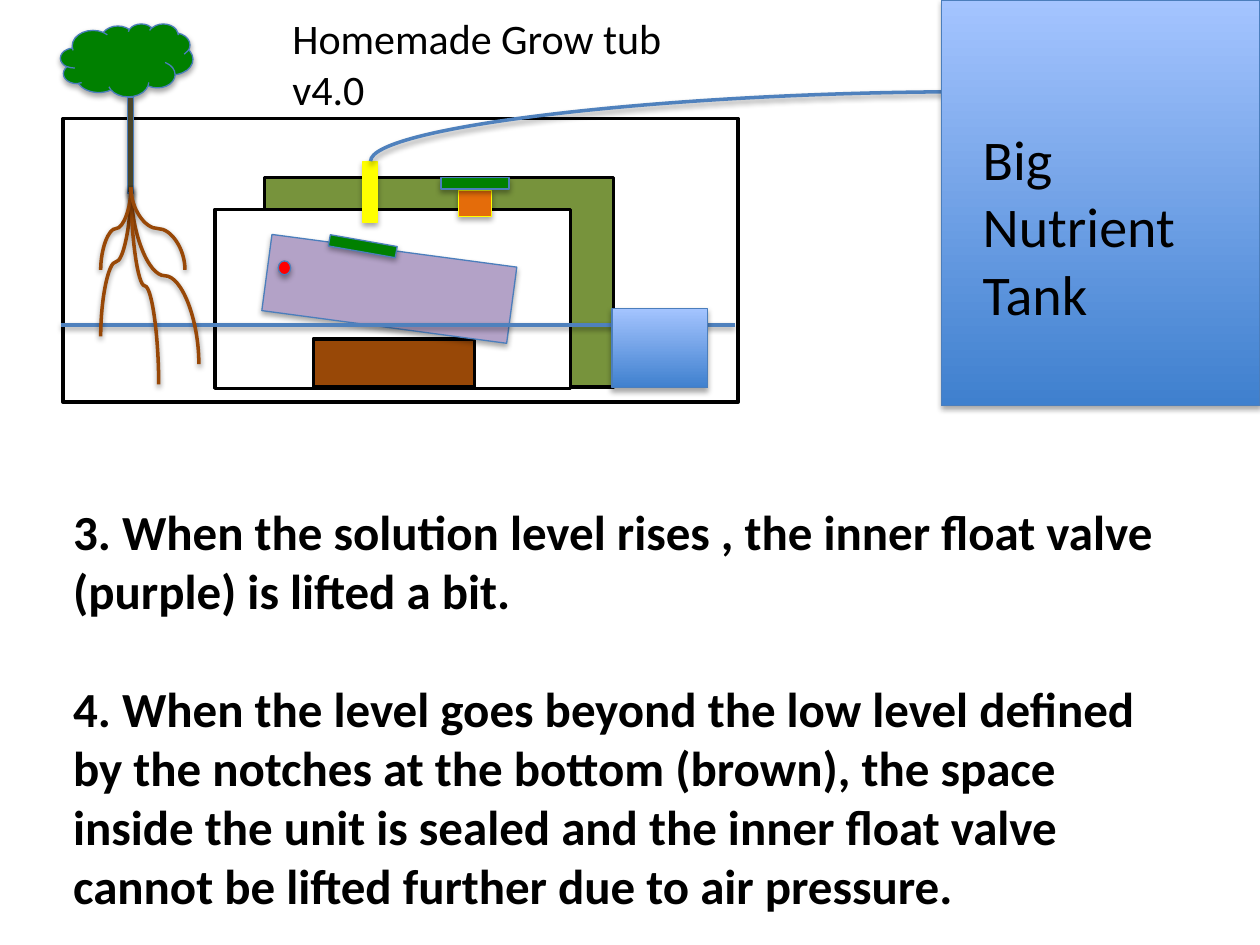
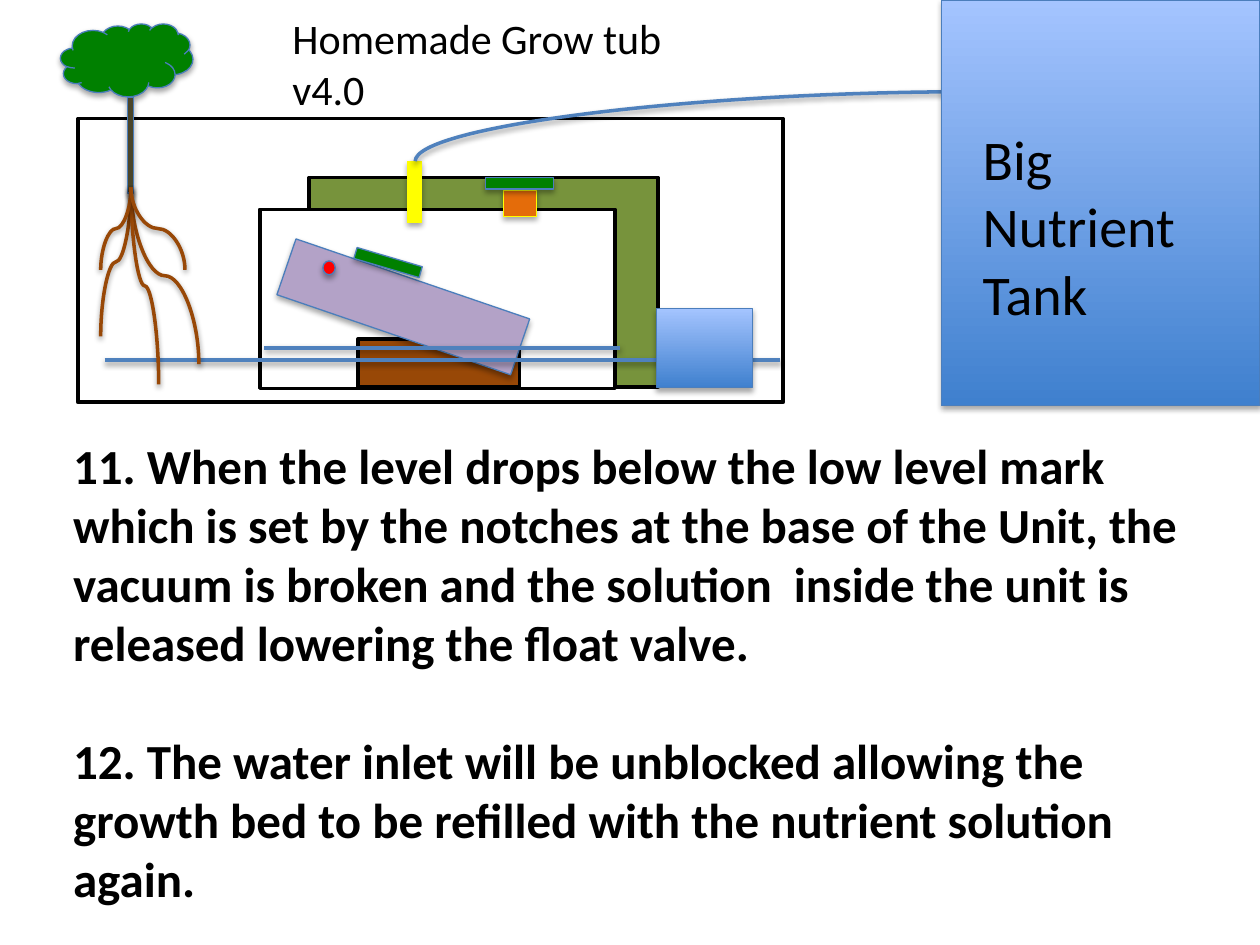
from dataclasses import dataclass

from lxml.etree import SubElement
from pptx import Presentation
from pptx.dml.color import RGBColor
from pptx.enum.shapes import MSO_CONNECTOR as Link, MSO_SHAPE as Preset
from pptx.enum.text import MSO_ANCHOR as Anchor, PP_ALIGN as Align
from pptx.oxml.ns import qn
from pptx.util import Cm, Pt

FONT = "Calibri"
BLACK, WHITE = "000000", "FFFFFF"
EDGE, WATER = "4B7EBC", "4F81BD"
BROWN, GREEN, YELLOW = "984807", "008000", "FFFF00"
TANK_BLUES = ("3F80CE", "A4C4FF")  # bottom to top
UNIT_SHIFT = 0.9  # cm the unit moves right on the second slide


@dataclass(frozen=True)
class Box:
    left: float
    top: float
    width: float
    height: float

    def shifted(self, dx: float) -> "Box":
        return Box(self.left + dx, self.top, self.width, self.height)


@dataclass(frozen=True)
class Part:
    box: Box
    fill: str | tuple[str, str]
    edge: str = EDGE
    edge_pt: float = 0.75
    preset: Preset = Preset.RECTANGLE
    turn: float = 0
    shadow: bool = True


@dataclass(frozen=True)
class Level:
    start: float
    end: float
    height: float


@dataclass(frozen=True)
class Stage:
    steps: tuple[str, ...]
    steps_box: Box
    bed: Box
    float_valve: Part
    float_pad: Part
    outer_level: Level
    inner_level: Level | None = None
    shift: float = 0


def outline(box: Box, fill: str) -> Part:
    return Part(box, fill, BLACK, 2, shadow=False)


# Fixed parts of the unit, from back to front
SHELL = (
    outline(Box(5.33, 3.58, 7.04, 4.22), "77933C"),
    outline(Box(4.34, 4.22, 7.16, 3.61), WHITE),
    outline(Box(6.32, 6.83, 3.25, 0.97), BROWN),
)
INLET = (
    Part(Box(7.32, 3.25, 0.28, 1.24), YELLOW, YELLOW),
    Part(Box(9.25, 3.84, 0.66, 0.53), "E46C0A", YELLOW),
    Part(Box(8.89, 3.58, 1.37, 0.23), GREEN),
)
PIVOT = Part(Box(5.61, 5.26, 0.25, 0.28), "FF0000", preset=Preset.OVAL)
SIDE_FLOAT = Part(Box(12.34, 6.22, 1.93, 1.6), TANK_BLUES)
HOSE_START, HOSE_END = (19.58, 1.85), (7.47, 3.25)

# Tank and plant
TANK = Part(Box(18.98, 0, 6.42, 8.18), TANK_BLUES)
TANK_LABEL = Box(19.56, 2.39, 5.82, 4.37)
PLANT = (
    Part(Box(1.22, 0.48, 2.67, 1.47), GREEN, preset=Preset.CLOUD),
    Part(Box(2.57, 1.96, 0.13, 1.93), "4A452A"),
)
ROOT_TOP = (2.64, 3.78)
ROOT_TIPS = ((2.03, 6.78), (4.01, 7.34), (3.2, 7.75), (2.03, 5.44), (3.73, 5.44))
TITLE_BOX = Box(5.64, 0.13, 9.5, 1.27)

STAGES = (
    Stage(
        steps=(
            "3. When the solution level rises , the inner float valve (purple) "
            "is lifted a bit.",
            "4. When the level goes beyond the low level defined by the notches "
            "at the bottom (brown), the space inside the unit is sealed and the "
            "inner float valve cannot be lifted further due to air pressure.",
        ),
        steps_box=Box(1.22, 9.98, 22.78, 8.64),
        bed=Box(1.27, 2.39, 13.61, 5.72),
        float_valve=Part(Box(5.36, 5.05, 4.98, 1.55), "B3A2C7", turn=7.6),
        float_pad=Part(Box(6.63, 4.85, 1.37, 0.23), GREEN, turn=10),
        outer_level=Level(1.22, 14.81, 6.55),
    ),
    Stage(
        steps=(
            "11. When the level drops below the low level mark which is set by "
            "the notches at the base of the Unit, the vacuum is broken and the "
            "solution  inside the unit is released lowering the float valve.",
            "12. The water inlet will be unblocked allowing the growth bed to be "
            "refilled with the nutrient solution again.",
        ),
        steps_box=Box(1.22, 8.66, 22.78, 9.83),
        bed=Box(1.57, 2.39, 14.22, 5.72),
        float_valve=Part(Box(5.64, 5.59, 4.98, 1.19), "B3A2C7", turn=18.9),
        float_pad=Part(Box(7.14, 5.18, 1.37, 0.23), GREEN, turn=16.4),
        outer_level=Level(2.11, 15.72, 7.26),
        inner_level=Level(5.33, 12.5, 7.01),
        shift=UNIT_SHIFT,
    ),
)


def color(hex_code: str) -> RGBColor:
    return RGBColor.from_string(hex_code)


def place(shape, box: Box) -> None:
    shape.left, shape.top = Cm(box.left), Cm(box.top)
    shape.width, shape.height = Cm(box.width), Cm(box.height)


def add_shadow(effects, distance: int, opacity: int) -> None:
    shadow = SubElement(effects, qn("a:outerShdw"), blurRad="40000",
                        dist=str(distance), dir="5400000", rotWithShape="0")
    black = SubElement(shadow, qn("a:srgbClr"), val=BLACK)
    SubElement(black, qn("a:alpha"), val=str(opacity * 1000))


def draw_part(slide, part: Part, dx: float = 0) -> None:
    box = part.box.shifted(dx)
    shape = slide.shapes.add_shape(part.preset, Cm(box.left), Cm(box.top),
                                   Cm(box.width), Cm(box.height))
    shape.rotation = part.turn
    if isinstance(part.fill, tuple):
        shape.fill.gradient()
        shape.fill.gradient_angle = 90
        for stop, shade in zip(shape.fill.gradient_stops, part.fill):
            stop.color.rgb = color(shade)
    else:
        shape.fill.solid()
        shape.fill.fore_color.rgb = color(part.fill)
    shape.line.color.rgb = color(part.edge)
    shape.line.width = Pt(part.edge_pt)
    shape.shadow.inherit = False
    if part.shadow:
        add_shadow(shape._element.spPr.find(qn("a:effectLst")), 23000, 35)


def draw_link(slide, kind: Link, box: Box, stroke: str):
    link = slide.shapes.add_connector(
        kind, Cm(box.left), Cm(box.top),
        Cm(box.left + box.width), Cm(box.top + box.height))
    link.line.color.rgb = color(stroke)
    link.line.width = Pt(2)
    add_shadow(SubElement(link._element.spPr, qn("a:effectLst")), 20000, 38)
    return link


def draw_level(slide, level: Level) -> None:
    draw_link(slide, Link.STRAIGHT,
              Box(level.start, level.height, level.end - level.start, 0), WATER)


def turn_link(link, degrees: int, flip: str = "") -> None:
    frame = link._element.spPr.find(qn("a:xfrm"))
    frame.set("rot", str(degrees * 60000))
    if flip:
        frame.set(flip, "1")


def draw_root(slide, tip: tuple[float, float]) -> None:
    """S-curve that leaves the trunk and reaches its tip vertically."""
    (x1, y1), (x2, y2) = ROOT_TOP, tip
    length, spread = y2 - y1, abs(x2 - x1)
    box = Box((x1 + x2 - length) / 2, (y1 + y2 - spread) / 2, length, spread)
    root = draw_link(slide, Link.CURVE, box, BROWN)
    if x2 < x1:
        turn_link(root, 90)
    else:
        turn_link(root, 270, "flipH")


def draw_hose(slide, dx: float) -> None:
    (x1, y1), (x2, y2) = HOSE_START, HOSE_END
    hose = draw_link(slide, Link.CURVE, Box(x2 + dx, y1, x1 - x2 - dx, y2 - y1), WATER)
    hose._element.spPr.find(qn("a:prstGeom")).set("prst", "curvedConnector2")
    turn_link(hose, 180, "flipV")


def write(paragraph, text: str, size: int, bold: bool = False) -> None:
    paragraph.alignment = Align.LEFT
    run = paragraph.add_run()
    run.text = text
    run.font.name, run.font.size, run.font.bold = FONT, Pt(size), bold
    run.font.color.rgb = color(BLACK)


def write_title(slide) -> None:
    title = slide.shapes.title
    place(title, TITLE_BOX)
    title.text_frame.word_wrap = False
    title.text_frame.vertical_anchor = Anchor.TOP
    write(title.text_frame.paragraphs[0], "Homemade Grow tub v4.0", 24)


def write_steps(slide, stage: Stage) -> None:
    body = slide.placeholders[1]
    place(body, stage.steps_box)
    frame = body.text_frame
    for index, step in enumerate(stage.steps):
        paragraph = frame.add_paragraph() if index else frame.paragraphs[0]
        paragraph.space_before = Pt(34 if index else 0)
        properties = paragraph._p.get_or_add_pPr()
        properties.set("marL", "0")
        properties.set("indent", "0")
        SubElement(properties, qn("a:buNone"))
        write(paragraph, step, 28, bold=True)


def write_tank_label(slide) -> None:
    box = TANK_LABEL
    label = slide.shapes.add_textbox(Cm(box.left), Cm(box.top),
                                     Cm(box.width), Cm(box.height))
    label.text_frame.word_wrap = True
    write(label.text_frame.paragraphs[0], "Big Nutrient Tank", 32)


def build_stage(deck, stage: Stage) -> None:
    slide = deck.slides.add_slide(deck.slide_layouts[1])
    write_title(slide)
    write_steps(slide, stage)

    # Growth bed and unit
    draw_part(slide, outline(stage.bed, WHITE))
    for part in SHELL:
        draw_part(slide, part, stage.shift)
    draw_part(slide, stage.float_valve)
    for part in INLET:
        draw_part(slide, part, stage.shift)
    draw_part(slide, stage.float_pad)
    draw_part(slide, PIVOT, stage.shift)

    # Water levels and supply
    draw_level(slide, stage.outer_level)
    draw_part(slide, SIDE_FLOAT, stage.shift)
    if stage.inner_level:
        draw_level(slide, stage.inner_level)
    draw_hose(slide, stage.shift)
    draw_part(slide, TANK)
    write_tank_label(slide)

    # Plant
    for part in PLANT:
        draw_part(slide, part)
    for tip in ROOT_TIPS:
        draw_root(slide, tip)


def main() -> None:
    deck = Presentation()
    deck.slide_width, deck.slide_height = Cm(25.4), Cm(19.05)
    for stage in STAGES:
        build_stage(deck, stage)
    deck.save("out.pptx")


if __name__ == "__main__":
    main()
